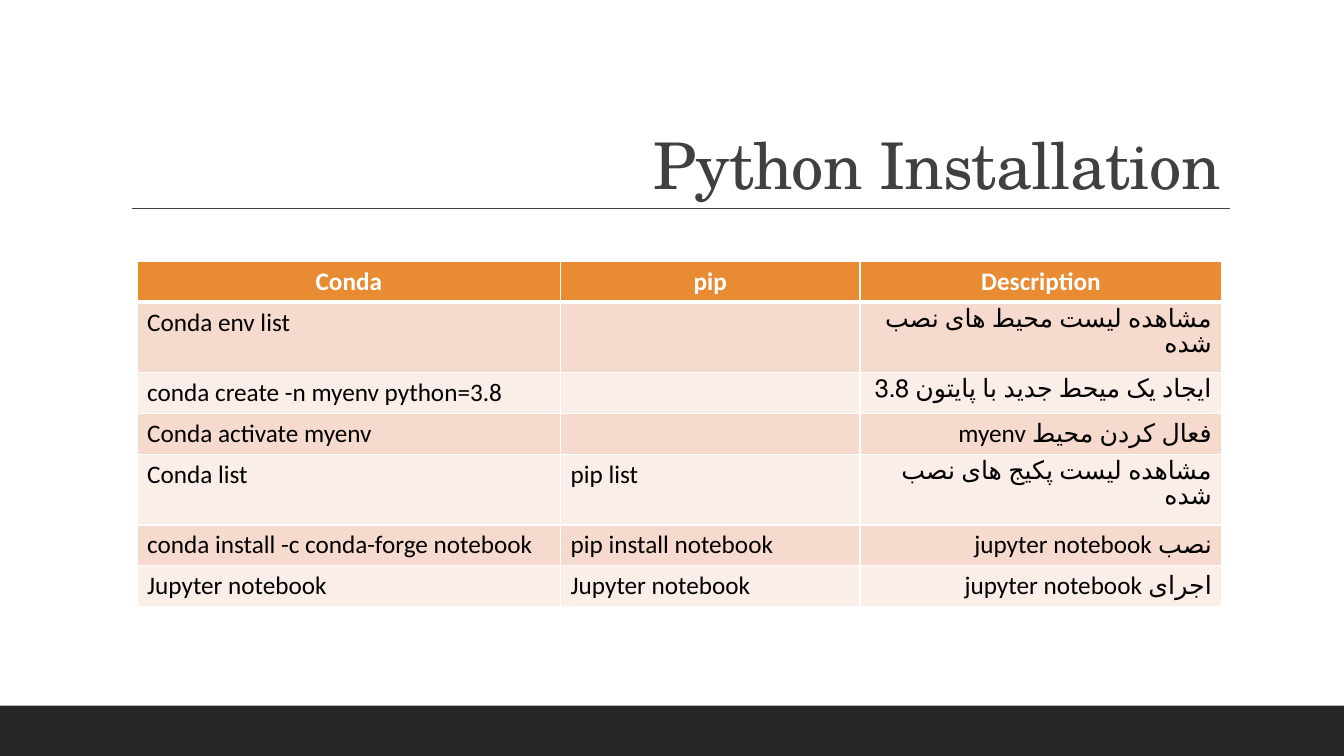
from lxml import etree
from pptx import Presentation
from pptx.dml.color import RGBColor
from pptx.enum.shapes import MSO_CONNECTOR, MSO_SHAPE
from pptx.enum.text import MSO_ANCHOR, PP_ALIGN
from pptx.oxml.ns import qn
from pptx.util import Inches, Pt

LEFT, CENTER, RIGHT = PP_ALIGN.LEFT, PP_ALIGN.CENTER, PP_ALIGN.RIGHT
BOTTOM = MSO_ANCHOR.BOTTOM
RECT = MSO_SHAPE.RECTANGLE
STRAIGHT = MSO_CONNECTOR.STRAIGHT
WIDE, HIGH = 13.33, 7.5
WHITE, BLACK, GREY, DARK = "FFFFFF", "000000", "404040", "262626"
HEAD, BANDS = "E88B33", ("F6DACE", "FBEEE8")
COLS, ROW = (4.2, 2.97, 3.59), Pt(29.2)
ROWS = [
    ("Conda", "pip", "Description"),
    ("Conda env list", "", "مشاهده لیست محیط های نصب شده"),
    ("conda create -n myenv python=3.8", "", "ایجاد یک میحط جدید با پایتون 3.8"),
    ("Conda activate myenv", "", "فعال کردن محیط myenv"),
    ("Conda list", "pip list", "مشاهده لیست پکیج های نصب شده"),
    ("conda install -c conda-forge notebook", "pip install notebook",
     "نصب jupyter notebook"),
    ("Jupyter notebook", "Jupyter notebook", "اجرای jupyter notebook"),
]


def color(code):
    return RGBColor.from_string(code)


def paint(part, code):
    part.fill.solid()
    part.fill.fore_color.rgb = color(code)


def write(frame, text, size=18, face="Calibri", ink=BLACK, bold=False,
          align=LEFT, rtl=False, lang="en-US", lead=None, track=None):
    para = frame.paragraphs[0]
    para.alignment = align
    if rtl:
        para._p.get_or_add_pPr().set("rtl", "1")
    if lead:
        para.line_spacing = lead
    run = para.add_run()
    run.text = text
    font = run.font
    font.size, font.name, font.bold = Pt(size), face, bold
    font.color.rgb = color(ink)
    props = run._r.get_or_add_rPr()
    props.set("lang", lang)
    if track:
        props.set("spc", str(int(track * 100)))


def edge(cell, base):
    props = cell._tc.get_or_add_tcPr()
    for side, width in zip("LRTB", (1, 1, 1, base)):
        line = etree.SubElement(props, qn(f"a:ln{side}"), w=str(Pt(width)))
        fill = etree.SubElement(line, qn("a:solidFill"))
        etree.SubElement(fill, qn("a:srgbClr"), val=WHITE)


def footer(slide, x, y, w, h):
    bar = slide.shapes.add_shape(RECT, *map(Inches, (x, y, w, h)))
    bar.shadow.inherit = False
    paint(bar, DARK)
    bar.line.fill.background()


def title(slide, x, y, w, h):
    rule = slide.shapes.add_connector(
        STRAIGHT, *map(Inches, (x + 0.11, y + h, x + w, y + h)))
    rule.line.color.rgb = color(GREY)
    rule.line.width = Pt(1)
    etree.SubElement(rule._element.spPr, qn("a:effectLst"))
    frame = slide.shapes.add_textbox(*map(Inches, (x, y, w, h))).text_frame
    frame.word_wrap = True
    frame.vertical_anchor = BOTTOM
    write(frame, "Python Installation", size=46, face="TeX Gyre Schola",
          ink=GREY, align=RIGHT, rtl=True, lead=0.9, track=-0.5)


def grid(slide, x, y):
    table = slide.shapes.add_table(
        len(ROWS), len(COLS), Inches(x), Inches(y),
        Inches(sum(COLS)), ROW * len(ROWS)).table
    for col, width in zip(table.columns, COLS):
        col.width = Inches(width)
    for i, row in enumerate(ROWS):
        table.rows[i].height = ROW
        for j, text in enumerate(row):
            cell = table.cell(i, j)
            top, last = i == 0, j == len(COLS) - 1
            edge(cell, 3 if top else 1)
            paint(cell, HEAD if top else BANDS[(i - 1) % 2])
            if top:
                write(cell.text_frame, text, ink=WHITE, bold=True, align=CENTER)
            elif text:
                write(cell.text_frame, text, align=RIGHT if last else LEFT,
                      rtl=last, lang="fa-IR" if last else "en-US")


def main():
    deck = Presentation()
    deck.slide_width, deck.slide_height = Inches(WIDE), Inches(HIGH)
    slide = deck.slides.add_slide(deck.slide_layouts[6])
    footer(slide, 0, HIGH - 0.5, WIDE, 0.5)
    title(slide, 1.2, 0.31, 11, 1.76)
    grid(slide, 1.36, 2.59)
    deck.save("out.pptx")


if __name__ == "__main__":
    main()
